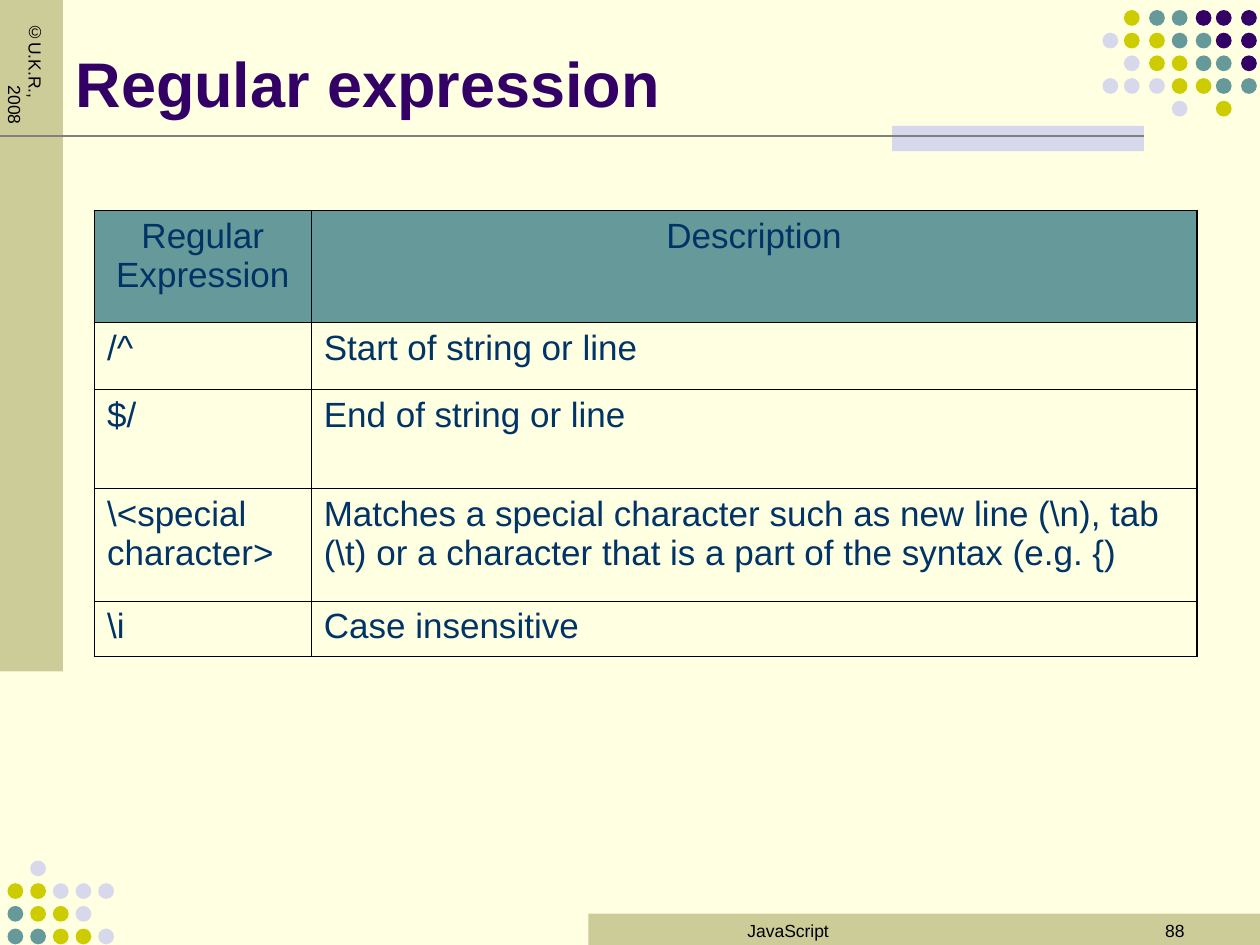
import dataclasses
import pptx
import pptx.chart.data
import pptx.dml.color
import pptx.enum.shapes
import pptx.enum.text
import pptx.oxml
import pptx.oxml.ns
import pptx.util

Inches, Pt = pptx.util.Inches, pptx.util.Pt
RGB = pptx.dml.color.RGBColor.from_string
Shape = pptx.enum.shapes.MSO_SHAPE
Align = pptx.enum.text.PP_ALIGN
Anchor = pptx.enum.text.MSO_ANCHOR


@dataclasses.dataclass(frozen=True)
class Theme:
    font: str = "Arial"
    back: str = "FFFFE1"
    sand: str = "CCCC99"
    plum: str = "330066"
    teal: str = "669999"
    lime: str = "CCCC00"
    pale: str = "D8D8EC"
    gray: str = "808080"
    navy: str = "003366"
    black: str = "000000"
    head: int = 36
    body: int = 20
    small: int = 10


theme = Theme()


def draw(kind, box, color):
    shape = slide.shapes.add_shape(kind, *map(Inches, box))
    shape.shadow.inherit = False
    shape.fill.solid()
    shape.fill.fore_color.rgb = RGB(color)
    shape.line.fill.background()


def write(frame, text, size, color, align=Align.LEFT, bold=False):
    frame.word_wrap = True
    para = frame.paragraphs[0]
    para.text = text
    para.alignment = align
    look = {"name": theme.font, "size": Pt(size), "bold": bold}
    for key, value in look.items():
        setattr(para.font, key, value)
    para.font.color.rgb = RGB(color)
    return para


deck = pptx.Presentation()
deck.slide_width, deck.slide_height = Inches(10), Inches(7.5)
slide = deck.slides.add_slide(deck.slide_layouts[5])
slide.background.fill.solid()
slide.background.fill.fore_color.rgb = RGB(theme.back)

# Bands
bands = [
    ((4.67, 7.25, 5.33, 0.25), theme.sand),
    ((0, 0, 0.5, 5.33), theme.sand),
    ((7.08, 1, 2, 0.2), theme.pale),
]
for box, color in bands:
    draw(Shape.RECTANGLE, box, color)

# Dot patterns: columns, top of the first row, rows of colour letters
inks = {"P": theme.plum, "T": theme.teal, "Y": theme.lime, "L": theme.pale}
pitch, dot = 0.18, 0.125
groups = [
    ([8.75, 8.92, 9.12, 9.3, 9.49, 9.65, 9.85], 0.08,
     [".YTTPPP", "LYYTTPP", ".LYYTTP", "LLLYYTT", "...L.Y."]),
    ([0.06 + pitch * i for i in range(5)], 6.83,
     [".L...", "YYLLL", "TYYL.", "TTYYL"]),
]
for cols, top, rows in groups:
    for r, row in enumerate(rows):
        for left, ink in zip(cols, row):
            if ink in inks:
                draw(Shape.OVAL, (left, top + pitch * r, dot, dot), inks[ink])

# Rule under the title
rule = slide.shapes.add_connector(
    pptx.enum.shapes.MSO_CONNECTOR.STRAIGHT,
    Inches(0), Inches(1.08), Inches(9.08), Inches(1.08))
rule.line.color.rgb = RGB(theme.gray)
rule.line.width = Pt(1.5)
rule._element.spPr.append(pptx.oxml.parse_xml(
    f"<a:effectLst {pptx.oxml.ns.nsdecls('a')}/>"))

# Title
title = slide.shapes.title
place = {"left": 0.5, "top": 0.13, "width": 8.25, "height": 0.87}
for key, value in place.items():
    setattr(title, key, Inches(value))
frame = title.text_frame
frame.auto_size = pptx.enum.text.MSO_AUTO_SIZE.NONE
frame.vertical_anchor = Anchor.BOTTOM
write(frame, "Regular expression", theme.head, theme.plum, bold=True)

# Sideways copyright line with a hanging indent
side = slide.shapes.add_textbox(*map(Inches, (0.25, 0.08, 0.17, 1.08)))
frame = side.text_frame
edges = {"left": 0.05, "top": 0.1, "right": 0.05, "bottom": 0.1}
for key, value in edges.items():
    setattr(frame, f"margin_{key}", Inches(value))
frame._txBody.bodyPr.set("vert", "eaVert")
para = write(frame, "©U.K.R., 2008", theme.small, theme.black)
props = para._p.get_or_add_pPr()
props.set("marL", str(Inches(0.5)))
props.set("indent", str(-Inches(0.5)))

# Footer and slide number
notes = [
    ("JavaScript", (4.67, 7.25, 3.17, 0.5), Align.CENTER),
    ("88", (7.17, 7.25, 2.33, 0.5), Align.RIGHT),
]
for text, box, align in notes:
    field = slide.shapes.add_textbox(*map(Inches, box))
    write(field.text_frame, text, theme.small, theme.black, align)

# Table
data = [
    ("Regular Expression", "Description"),
    ("/^", "Start of string or line"),
    ("$/", "End of string or line"),
    (r"\<special character>",
     r"Matches a special character such as new line (\n), tab (\t) "
     "or a character that is a part of the syntax (e.g. {)"),
    (r"\i", "Case insensitive"),
]
widths = [1.72, 7.03]
heights = [0.89, 0.53, 0.79, 0.89, 0.44]
table = slide.shapes.add_table(
    len(data), len(widths), Inches(0.75), Inches(1.67),
    Inches(sum(widths)), Inches(sum(heights))).table
for col, width in zip(table.columns, widths):
    col.width = Inches(width)
for row, height in zip(table.rows, heights):
    row.height = Inches(height)

thick, thin = Pt(1.08), Pt(0.45)
for r, row in enumerate(data):
    for c, text in enumerate(row):
        cell = table.cell(r, c)
        cell.vertical_anchor = Anchor.TOP
        align = Align.LEFT if r else Align.CENTER
        write(cell.text_frame, text, theme.body, theme.navy, align)
        # Outer borders are heavier than inner ones
        outer = {"L": c == 0, "R": c == len(widths) - 1,
                 "T": r == 0, "B": r == len(data) - 1}
        props = cell._tc.get_or_add_tcPr()
        for edge, heavy in outer.items():
            props.append(pptx.oxml.parse_xml(
                f'<a:ln{edge} {pptx.oxml.ns.nsdecls("a")} '
                f'w="{thick if heavy else thin}"><a:solidFill>'
                f'<a:srgbClr val="{theme.black}"/></a:solidFill></a:ln{edge}>'))
        if r == 0:
            cell.fill.solid()
            cell.fill.fore_color.rgb = RGB(theme.teal)
        else:
            cell.fill.background()

deck.save("out.pptx")
